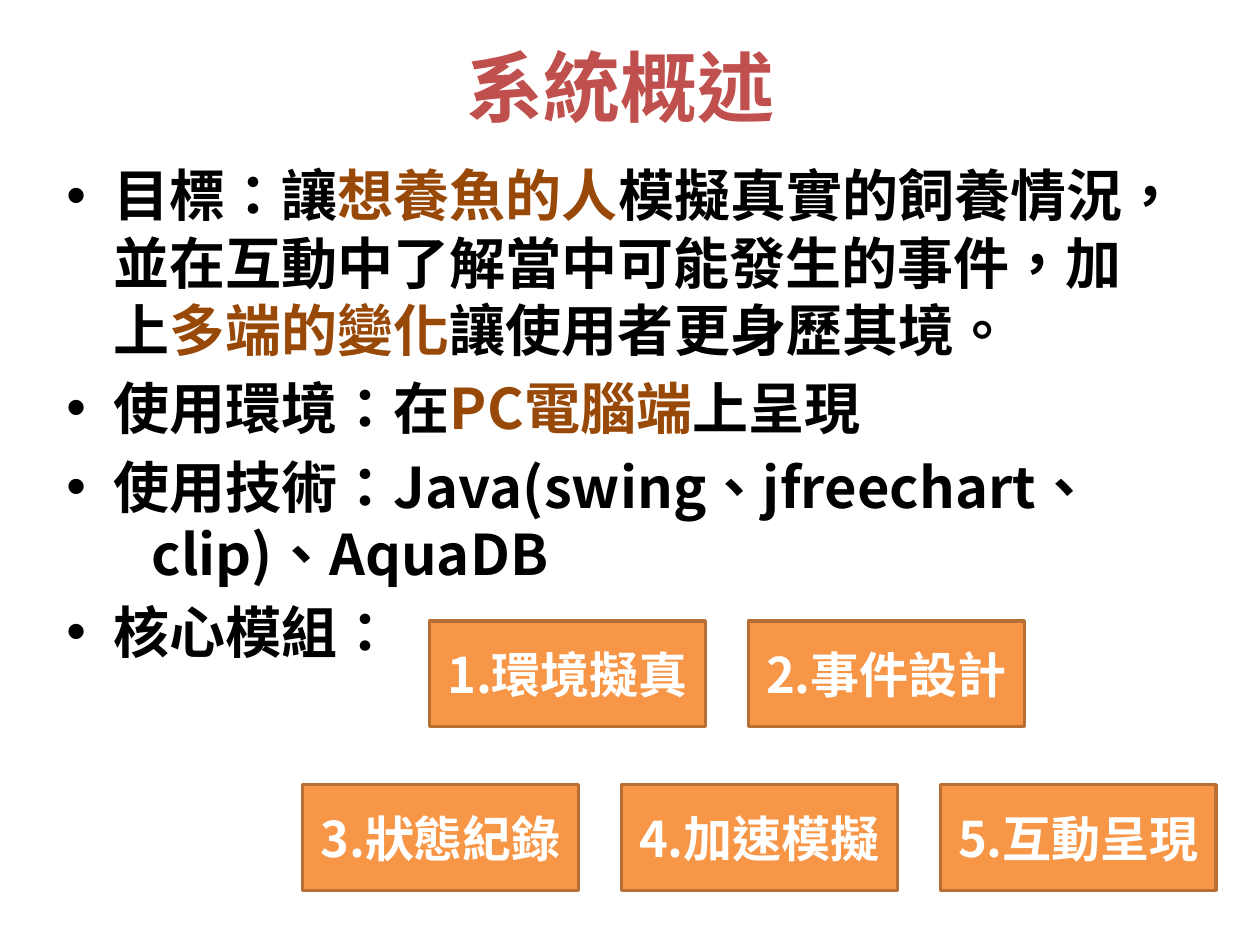
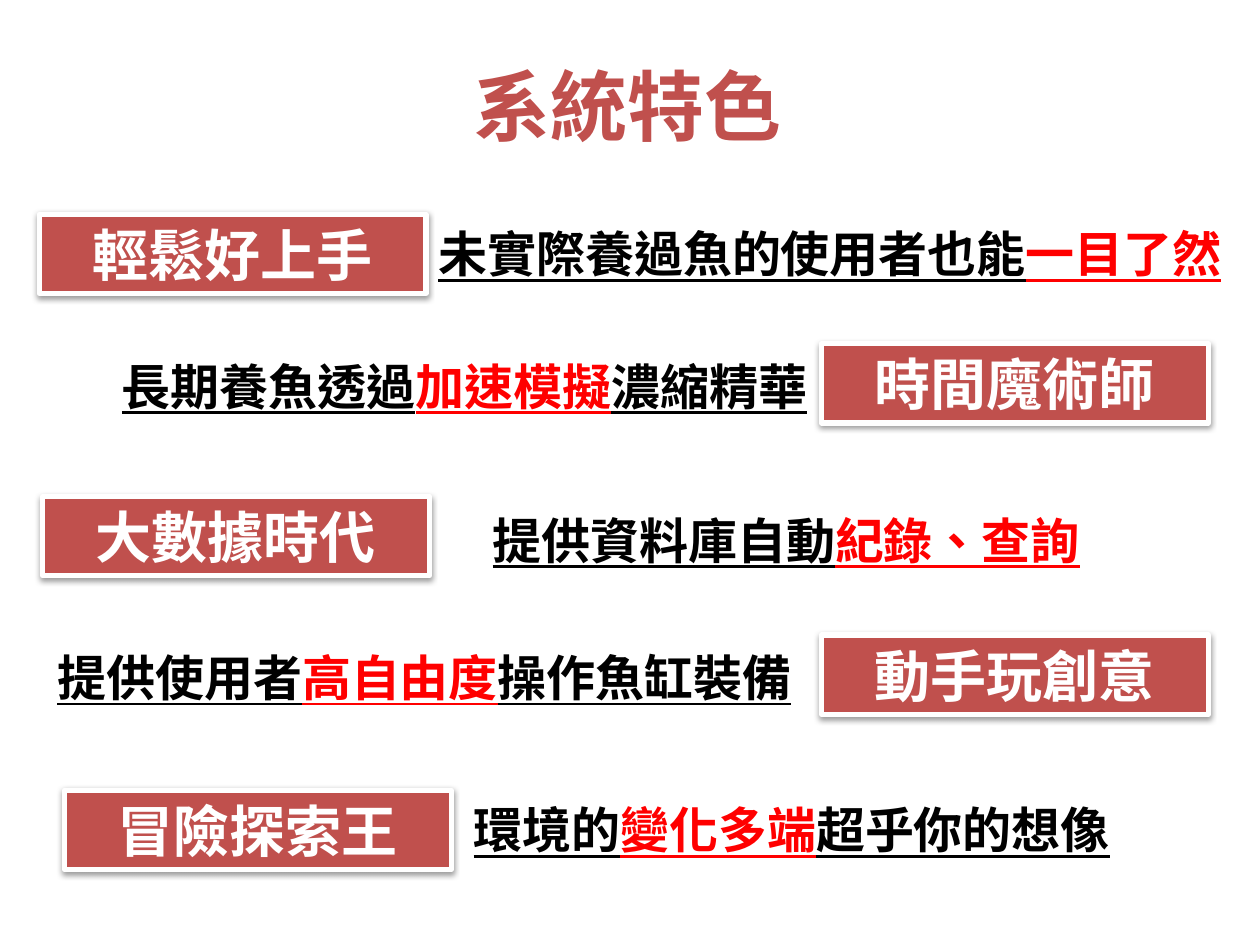
from dataclasses import dataclass

from lxml.etree import SubElement
from pptx import Presentation
from pptx.dml.color import RGBColor
from pptx.enum.shapes import MSO_SHAPE
from pptx.enum.text import MSO_ANCHOR, MSO_AUTO_SIZE, PP_ALIGN
from pptx.oxml.ns import qn
from pptx.util import Cm, Pt

# Content: words between asterisks take the accent colour. Lengths in cm.
GOALS = [  # text, bulleted
    ("目標：讓*想養魚的人*模擬真實的飼養情況，並在互動中了解當中可能發生的事件，"
     "加上*多端的變化*讓使用者更身歷其境。", True),
    ("使用環境：在*PC電腦端*上呈現", True),
    ("使用技術：Java(swing、jfreechart、", True),
    ("clip)、AquaDB", False),
    ("核心模組：", True),
]
CORES = [  # left, top, labels of one row
    (8.66, 12.52, ["1.環境擬真", "2.事件設計"]),
    (6.1, 15.82, ["3.狀態紀錄", "4.加速模擬", "5.互動呈現"]),
]
TRAITS = [  # tag, its left and top, note, its left, top, width and height
    ("輕鬆好上手", 0.79, 4.32, "未實際養過魚的使用者也能*一目了然*", 8.59, 4.39, 16.46, 1.45),
    ("時間魔術師", 16.56, 6.93, "長期養魚透過*加速模擬*濃縮精華", 2.21, 7.06, 14.48, 2.64),
    ("大數據時代", 0.86, 10.01, "提供資料庫自動*紀錄、查詢*", 9.68, 10.16, 12.47, 1.45),
    ("動手玩創意", 16.56, 12.8, "提供使用者*高自由度*操作魚缸裝備", 0.91, 12.93, 15.47, 1.45),
    ("冒險探索王", 1.3, 15.93, "環境的*變化多端*超乎你的想像", 9.3, 16, 13.49, 1.45),
]


@dataclass(frozen=True)
class Theme:
    """Colours, font and type sizes of the deck."""
    font: str = "Noto Sans CJK SC"
    ink: str = "000000"
    white: str = "FFFFFF"
    red: str = "C0504D"
    brown: str = "984807"
    hot: str = "FF0000"
    amber: str = "F79646"
    edge: str = "B76F34"
    head: int = 44
    body: int = 32
    note: int = 28


T = Theme()
CORE_W, CORE_H, CORE_STEP = 5.56, 2.13, 6.43
TAG_W, TAG_H = 7.8, 1.6
HANG, INSET = 0.95, 1.72


def rgb(code):
    """Turn a hex code into a colour."""
    return RGBColor.from_string(code)


def write(para, text, size=T.body, color=T.ink, accent=None, under=None, align=None):
    """Write bold text into a paragraph, with accents between asterisks."""
    para.alignment = align
    for i, part in enumerate(text.split("*")):
        if not part:
            continue
        run = para.add_run()
        run.text = part
        font = run.font
        font.name, font.size, font.bold, font.underline = T.font, Pt(size), True, under
        font.color.rgb = rgb(accent if i % 2 else color)
        props = run._r.get_or_add_rPr()
        props.set("lang", "zh-TW")
        SubElement(props, qn("a:ea"), typeface=T.font)


def frame(shapes, left, top, width, height, wrap=True):
    """Add a text box and return its text frame."""
    box = shapes.add_textbox(Cm(left), Cm(top), Cm(width), Cm(height))
    box.text_frame.word_wrap = wrap
    return box.text_frame


def block(shapes, text, left, top, width, height, fill, edge, line, size):
    """Add a filled box with a centred white label."""
    box = shapes.add_shape(MSO_SHAPE.RECTANGLE, Cm(left), Cm(top), Cm(width), Cm(height))
    box.shadow.inherit = False
    box.fill.solid()
    box.fill.fore_color.rgb = rgb(fill)
    box.line.color.rgb = rgb(edge)
    box.line.width = Pt(line)
    box.text_frame.word_wrap = True
    box.text_frame.vertical_anchor = MSO_ANCHOR.MIDDLE
    write(box.text_frame.paragraphs[0], text, size=size, color=T.white,
          align=PP_ALIGN.CENTER)
    return box


def shade(box):
    """Give a box a soft shadow straight below it."""
    effects = box._element.spPr.find(qn("a:effectLst"))
    outer = SubElement(effects, qn("a:outerShdw"), blurRad=str(Pt(3.15)),
                       dist=str(Pt(1.57)), dir="5400000", rotWithShape="0")
    color = SubElement(outer, qn("a:srgbClr"), val=T.ink)
    SubElement(color, qn("a:alpha"), val="38000")


def bullet(para):
    """Give a paragraph a hanging round bullet."""
    para.space_before = Pt(6.4)
    props = para._p.get_or_add_pPr()
    props.set("marL", str(Cm(HANG)))
    props.set("indent", str(-Cm(HANG)))
    SubElement(props, qn("a:buFont"), typeface="Arial")
    SubElement(props, qn("a:buChar"), char="•")


def page(deck, title, left, top):
    """Add a blank slide with its title."""
    slide = deck.slides.add_slide(deck.slide_layouts[6])
    text = frame(slide.shapes, left, top, 22.86, 3.18)
    text.vertical_anchor = MSO_ANCHOR.MIDDLE
    write(text.paragraphs[0], title, size=T.head, color=T.red, align=PP_ALIGN.CENTER)
    return slide.shapes


def outline(deck):
    """Build the slide with goals and core modules."""
    shapes = page(deck, "系統概述", 1.09, 0.13)
    text = frame(shapes, 1.09, 3.12, 22.86, 13.69)
    for i, (line, dot) in enumerate(GOALS):
        para = text.add_paragraph() if i else text.paragraphs[0]
        write(para, line, accent=T.brown)
        if dot:
            bullet(para)
        else:
            para._p.get_or_add_pPr().set("marL", str(Cm(INSET)))
    group = shapes.add_group_shape()
    for left, top, names in CORES:
        for i, name in enumerate(names):
            block(group.shapes, name, left + i * CORE_STEP, top, CORE_W, CORE_H,
                  T.amber, T.edge, 2, T.note)


def traits(deck):
    """Build the slide with one tag and note per trait."""
    shapes = page(deck, "系統特色", 1.22, 0.53)
    for tag, left, top, note, *spot in TRAITS:
        group = shapes.add_group_shape()
        shade(block(group.shapes, tag, left, top, TAG_W, TAG_H,
                    T.red, T.white, 3, T.body))
        text = frame(group.shapes, *spot, wrap=False)
        text.auto_size = MSO_AUTO_SIZE.SHAPE_TO_FIT_TEXT
        write(text.paragraphs[0], note, size=T.note, accent=T.hot, under=True)


deck = Presentation()
deck.slide_width, deck.slide_height = Cm(25.4), Cm(19.05)
outline(deck)
traits(deck)
deck.save("out.pptx")
